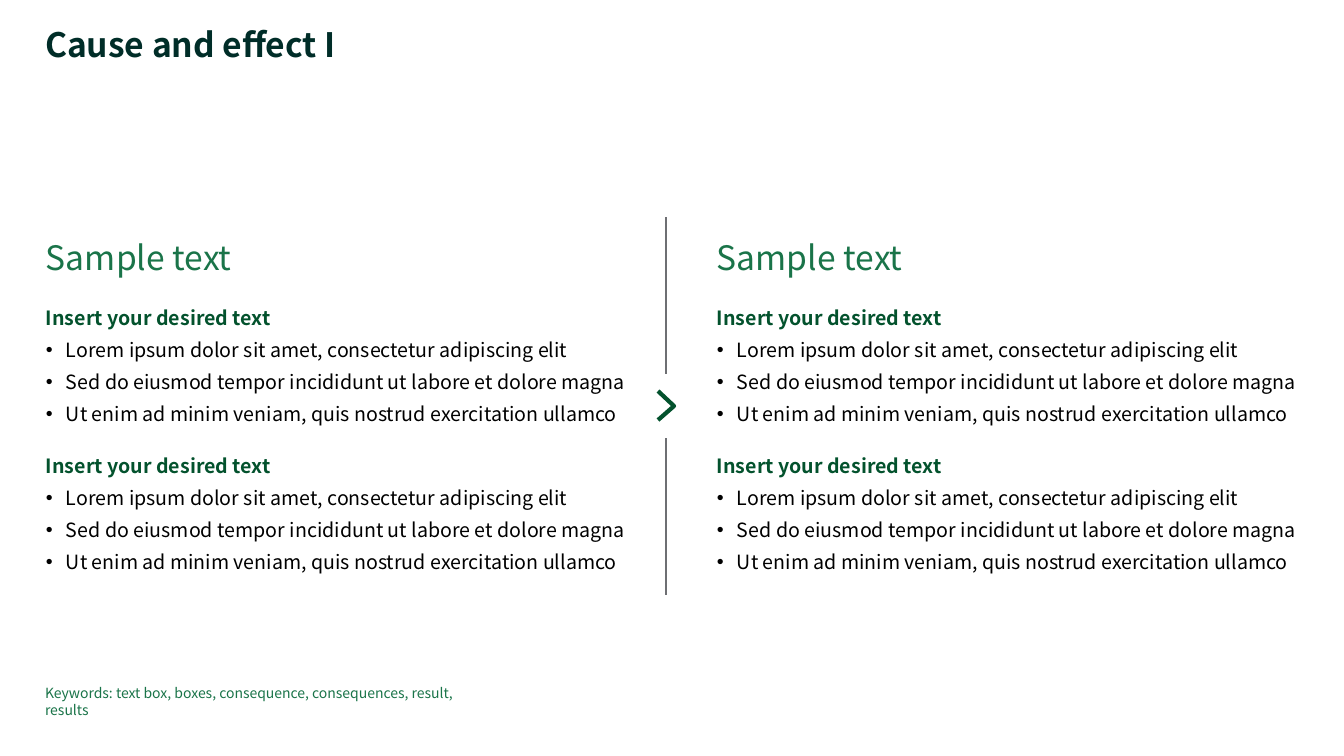
from lxml import etree
from pptx import Presentation
from pptx import util as u
from pptx.dml.color import RGBColor
from pptx.enum import shapes, text
from pptx.oxml import ns

INK = RGBColor(0x00, 0x2D, 0x28)
DEEP_GREEN = RGBColor(0x03, 0x52, 0x2D)
GREEN = RGBColor(0x1A, 0x74, 0x49)
GRAY = RGBColor(0x6E, 0x6F, 0x73)
BLACK = RGBColor(0x00, 0x00, 0x00)

POINTS = [
    "Lorem ipsum dolor sit amet, consectetur adipiscing elit",
    "Sed do eiusmod tempor incididunt ut labore et dolore magna",
    "Ut enim ad minim veniam, quis nostrud exercitation ullamco",
]


class SlideBuilder:
    font = "Noto Sans CJK JP"
    scale = 914400 / 100.8
    indent = 20

    def __init__(self, deck):
        deck.slide_width, deck.slide_height = self.px(1344), self.px(756)
        self.page = deck.slides.add_slide(deck.slide_layouts[6])

    def px(self, length):
        return u.Emu(round(length * self.scale))

    def text_frame(self, left, top, width, height):
        box = self.page.shapes.add_textbox(*map(self.px, (left, top, width, height)))
        frame = box.text_frame
        frame.word_wrap = True
        frame.auto_size = text.MSO_AUTO_SIZE.NONE
        frame.margin_left = frame.margin_right = 0
        frame.margin_top = frame.margin_bottom = 0
        return frame

    def add_span(self, para, words, size, color, bold=False, after=6):
        para.space_after = u.Pt(after)
        span = para.add_run()
        span.text = words
        span.font.name = self.font
        span.font.size = u.Pt(size)
        span.font.bold = bold
        span.font.color.rgb = color

    def label(self, area, words, size, color, bold=False, after=6, spacing=None):
        para = self.text_frame(*area).paragraphs[0]
        para.line_spacing = spacing
        self.add_span(para, words, size, color, bold, after)

    def bullet(self, para):
        properties = para._p.get_or_add_pPr()
        properties.set("marL", str(self.px(self.indent)))
        properties.set("indent", str(-self.px(self.indent)))
        color = etree.SubElement(properties, ns.qn("a:buClr"))
        etree.SubElement(color, ns.qn("a:srgbClr")).set("val", str(BLACK))
        etree.SubElement(properties, ns.qn("a:buFont")).set("typeface", "Arial")
        etree.SubElement(properties, ns.qn("a:buChar")).set("char", "•")

    def bullet_list(self, area, heading, points):
        frame = self.text_frame(*area)
        self.add_span(frame.paragraphs[0], heading, 14, DEEP_GREEN, bold=True)
        for point in points:
            para = frame.add_paragraph()
            self.bullet(para)
            self.add_span(para, point, 14, BLACK)

    def divider(self, x, top, bottom):
        line = self.page.shapes.add_connector(
            shapes.MSO_CONNECTOR.STRAIGHT, *map(self.px, (x, bottom, x, top)))
        line.line.color.rgb = GRAY
        line.line.width = u.Pt(0.75)
        etree.SubElement(line._element.spPr, ns.qn("a:effectLst"))

    def chevron(self, start, tip, end):
        outline = self.page.shapes.build_freeform(*start, scale=self.scale)
        outline.add_line_segments([tip, end], close=False)
        shape = outline.convert_to_shape()
        shape.shadow.inherit = False
        shape.fill.background()
        shape.line.color.rgb = DEEP_GREEN
        shape.line.width = u.Pt(3)


def main():
    deck = Presentation()
    slide = SlideBuilder(deck)
    slide.label((45, 28, 1112, 37), "Cause and effect I", 24, INK,
                bold=True, after=0, spacing=0.9)
    slide.chevron((658, 391), (674, 406), (658, 420))
    for top in (217, 438):
        slide.divider(666, top, top + 157)
    for left in (46, 717):
        slide.label((left, 237, 584, 40), "Sample text", 24, GREEN)
        for top in (306, 454):
            slide.bullet_list((left, top, 584, 120), "Insert your desired text", POINTS)
    slide.label((45, 685, 445, 17),
                "Keywords: text box, boxes, consequence, consequences, result, results",
                10, GREEN, after=1)
    deck.save("out.pptx")


if __name__ == "__main__":
    main()
